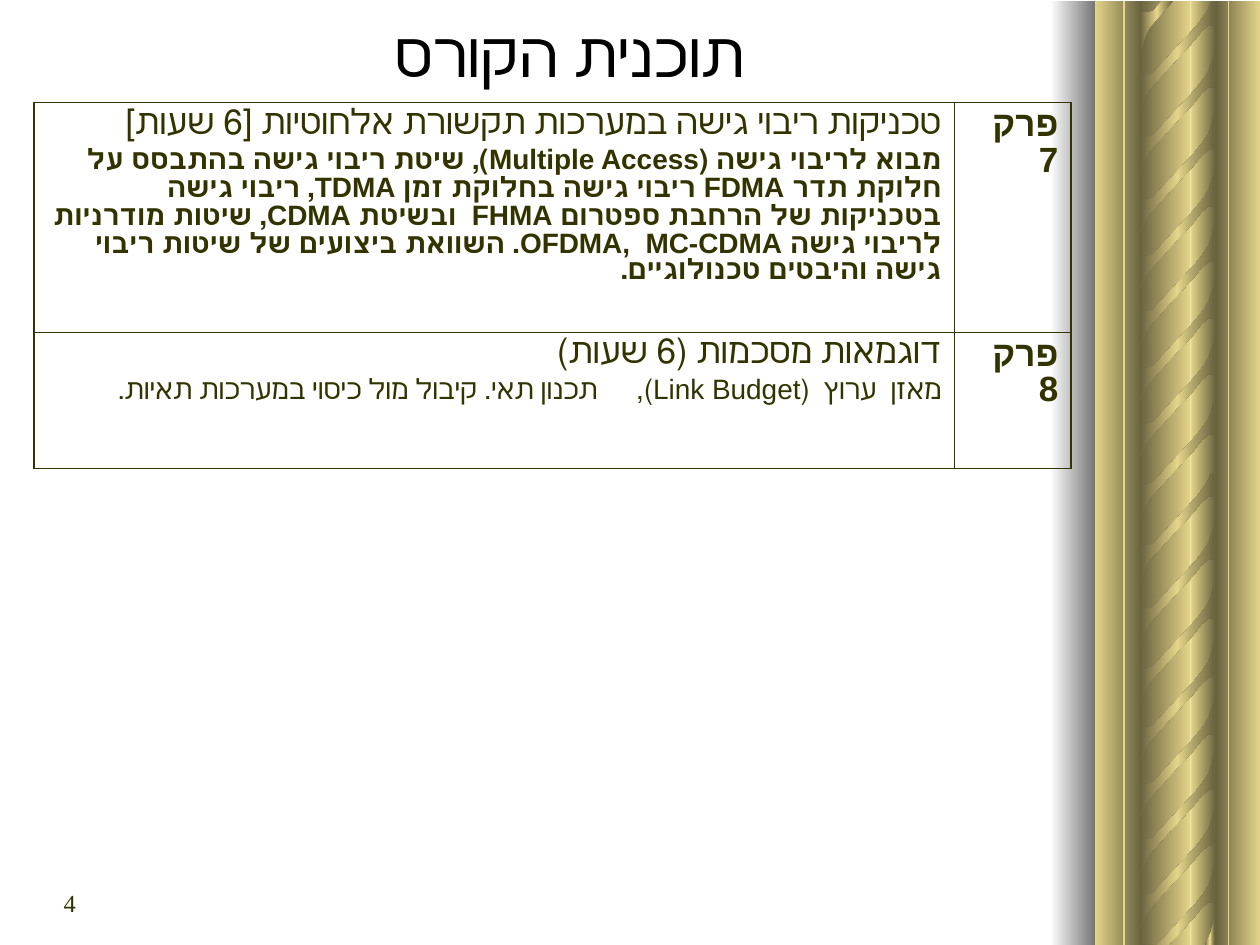
from lxml import etree
from pptx import Presentation
from pptx import util as u
from pptx.dml import color
from pptx.enum import shapes, text
from pptx.oxml import ns

Pt = u.Pt
W, H = 720, 540
GOLD, BRONZE, OLIVE = "E5D58A", "69623F", "333300"
# Outline of one rope strand, from its left edge and its top
STRAND = [(42.5, 6.5), (42.5, 24.5), (41.8, 23), (38.9, 23), (37.4, 24.5),
          (35.3, 25.9), (30.2, 32.4), (18, 45.4), (5.8, 59), (3.6, 62.6),
          (2.2, 67), (0.7, 72.7), (0, 80.6), (0, 45.4), (0.7, 49),
          (0.7, 50.4), (2.2, 51.1), (5, 51.1), (7.2, 50.4), (31.7, 23.8),
          (36.7, 17.3), (38.9, 13.7), (40.3, 10.1), (41.8, 5), (42.5, 0)]
UPPER_TOPS = [27, 62.6, 95, 126.7, 159, 191, -8.5, -44, 225.4]
LOWER_TOPS = [330.5, 364.3, 396.7, 428.4, 460, 492.5, 522.7, 296.6, 260.6]
WIDE_GAP = 17.8
# Chapter, heading, body parts set apart by a wide gap, bold body
ROWS = [
    ("פרק 7", "טכניקות ריבוי גישה במערכות תקשורת אלחוטיות [6 שעות]",
     ["מבוא לריבוי גישה (Multiple Access), שיטת ריבוי גישה בהתבסס על "
      "חלוקת תדר FDMA ריבוי גישה בחלוקת זמן TDMA, ריבוי גישה בטכניקות "
      "של הרחבת ספטרום FHMA  ובשיטת CDMA, שיטות מודרניות לריבוי גישה "
      "OFDMA,  MC-CDMA. השוואת ביצועים של שיטות ריבוי גישה והיבטים "
      "טכנולוגיים."], True),
    ("פרק 8", "דוגמאות מסכמות (6 שעות)",
     ["מאזן  ערוץ  (Link Budget),",
      "תכנון תאי. קיבול מול כיסוי במערכות תאיות."], False),
]


def rgb(value):
    return color.RGBColor.from_string(value)


def sub(parent, tag, **attrs):
    return etree.SubElement(parent, ns.qn(tag), attrs)


def paint(sp, *colours):
    """Fill with evenly spaced colours running from right to left."""
    sp.shadow.inherit = False
    sp.line.fill.background()
    sp.fill.gradient()
    sp.fill.gradient_angle = 180
    stops = sp._element.spPr.find(ns.qn("a:gradFill")).find(ns.qn("a:gsLst"))
    for stop in list(stops):
        stops.remove(stop)
    for i, value in enumerate(colours):
        stop = sub(stops, "a:gs", pos=str(100000 * i // (len(colours) - 1)))
        sub(stop, "a:srgbClr", val=value)


def band(group, x, y, w, h, *colours):
    sp = group.shapes.add_shape(shapes.MSO_SHAPE.RECTANGLE,
                                Pt(x), Pt(y), Pt(w), Pt(h))
    paint(sp, *colours)


def clip(points, limit, sign):
    """Keep the part of a polygon where sign * y >= sign * limit."""
    kept = []
    for (x0, y0), (x1, y1) in zip(points[-1:] + points[:-1], points):
        inside0, inside1 = sign * y0 >= sign * limit, sign * y1 >= sign * limit
        if inside0 != inside1:
            kept.append((x0 + (x1 - x0) * (limit - y0) / (y1 - y0), limit))
        if inside1:
            kept.append((x1, y1))
    return kept


def strand(group, x, top, ceiling):
    points = [(x + dx, top + dy) for dx, dy in STRAND]
    points = clip(clip(points, ceiling, 1), H, -1)
    points = [(Pt(px), Pt(py)) for px, py in points]
    builder = group.shapes.build_freeform(*points[0], scale=1.0)
    builder.add_line_segments(points[1:], close=True)
    paint(builder.convert_to_shape(), BRONZE, GOLD, BRONZE)


def column_half(group, x, y, h, tops):
    band(group, x + 55.2, y, 14.4, h, BRONZE, GOLD)
    band(group, x, y, 27, h, BRONZE, GOLD)
    band(group, x + 26.4, y, 28.8, h, GOLD, BRONZE)
    band(group, x + 69.6, y, W - x - 69.6, h, GOLD, BRONZE)
    for top in tops:
        strand(group, x + 26.4, top, y)


def column(s, x, y, h):
    group = s.shapes.add_group_shape()
    column_half(group, x, y + h / 2, h / 2, LOWER_TOPS)
    column_half(group, x, y, h / 2, UPPER_TOPS)
    band(group, x - 25.2, y, 25.9, h, "757575", "FFFFFF")
    for dx in (17, 76.8):
        line = group.shapes.add_connector(shapes.MSO_CONNECTOR.STRAIGHT,
                                          Pt(x + dx), Pt(y), Pt(x + dx), Pt(y + h))
        line.line.color.rgb = rgb(GOLD)
        line.line.width = Pt(1)
        sub(line._element.spPr, "a:effectLst")
    s.shapes._spTree.insert(2, group._element)  # behind the title


def add_run(p, words, size, colour, bold=False, font="Arial"):
    r = p.add_run()
    r.text = words
    r.font.size, r.font.bold, r.font.name = Pt(size), bold, font
    r.font.color.rgb = rgb(colour)
    return r


def title(s, x, y, w, h):
    sp = s.shapes.title
    sp.left, sp.top, sp.width, sp.height = Pt(x), Pt(y), Pt(w), Pt(h)
    sp.text_frame.vertical_anchor = text.MSO_ANCHOR.MIDDLE
    p = sp.text_frame.paragraphs[0]
    p.alignment = text.PP_ALIGN.CENTER
    p._p.get_or_add_pPr().set("rtl", "1")
    add_run(p, "תוכנית הקורס", 36, "000000")


def hebrew_line(p, parts, size, bold, before=0):
    p.alignment = text.PP_ALIGN.RIGHT
    p.line_spacing = 0.9
    p.space_before = Pt(before)
    p._p.get_or_add_pPr().set("rtl", "1")
    for i, words in enumerate(parts):
        if i:
            gap = add_run(p, " ", size, OLIVE, bold)
            gap._r.get_or_add_rPr().set("spc", str(int(WIDE_GAP * 100)))
        r = add_run(p, words, size, OLIVE, bold)
    return r


def borders(cell, **widths):
    tcPr = cell._tc.get_or_add_tcPr()
    for i, (side, width) in enumerate(widths.items()):
        ln = sub(tcPr, "a:ln" + side, w=str(Pt(width)))
        sub(sub(ln, "a:solidFill"), "a:srgbClr", val=OLIVE)
        tcPr.insert(i, ln)


def syllabus(s, x, y, widths, heights):
    frame = s.shapes.add_table(len(heights), len(widths), Pt(x), Pt(y),
                               Pt(sum(widths)), Pt(sum(heights)))
    table = frame.table
    table.first_row = table.horz_banding = False
    for col, width in zip(table.columns, widths):
        col.width = Pt(width)
    for row, height in zip(table.rows, heights):
        row.height = Pt(height)
    outer, inner = 1.08, 0.45
    for i, (chapter, heading, body, bold) in enumerate(ROWS):
        topic, label = table.cell(i, 0), table.cell(i, 1)
        tf = topic.text_frame
        hebrew_line(tf.paragraphs[0], [heading], 20, False)
        hebrew_line(tf.add_paragraph(), body, 16, bold, 4)
        r = hebrew_line(label.text_frame.paragraphs[0], [chapter], 20, True)
        sub(r._r.get_or_add_rPr(), "a:cs", typeface="Arial")
        top, bottom = (outer, inner) if i == 0 else (inner, outer)
        for cell, left, right in ((topic, outer, inner), (label, inner, outer)):
            cell.fill.background()
            borders(cell, L=left, R=right, T=top, B=bottom)


def page_number(s, x, y, w, h):
    tf = s.shapes.add_textbox(Pt(x), Pt(y), Pt(w), Pt(h)).text_frame
    tf.word_wrap = True
    tf.vertical_anchor = text.MSO_ANCHOR.MIDDLE
    p = tf.paragraphs[0]
    p._p.get_or_add_pPr().set("marL", str(Pt(17.3)))
    add_run(p, "4", 14, OLIVE, font="Times New Roman")


def main():
    prs = Presentation()
    prs.slide_width, prs.slide_height = Pt(W), Pt(H)
    s = prs.slides.add_slide(prs.slide_layouts[5])
    column(s, 625.2, 0.5, H - 0.5)
    title(s, 33, 0, 585.4, 60)
    syllabus(s, 19.4, 58.6, [525.8, 66.8], [131.3, 77.8])
    page_number(s, 12, 497.8, 149.8, 36)
    prs.save("out.pptx")


if __name__ == "__main__":
    main()
